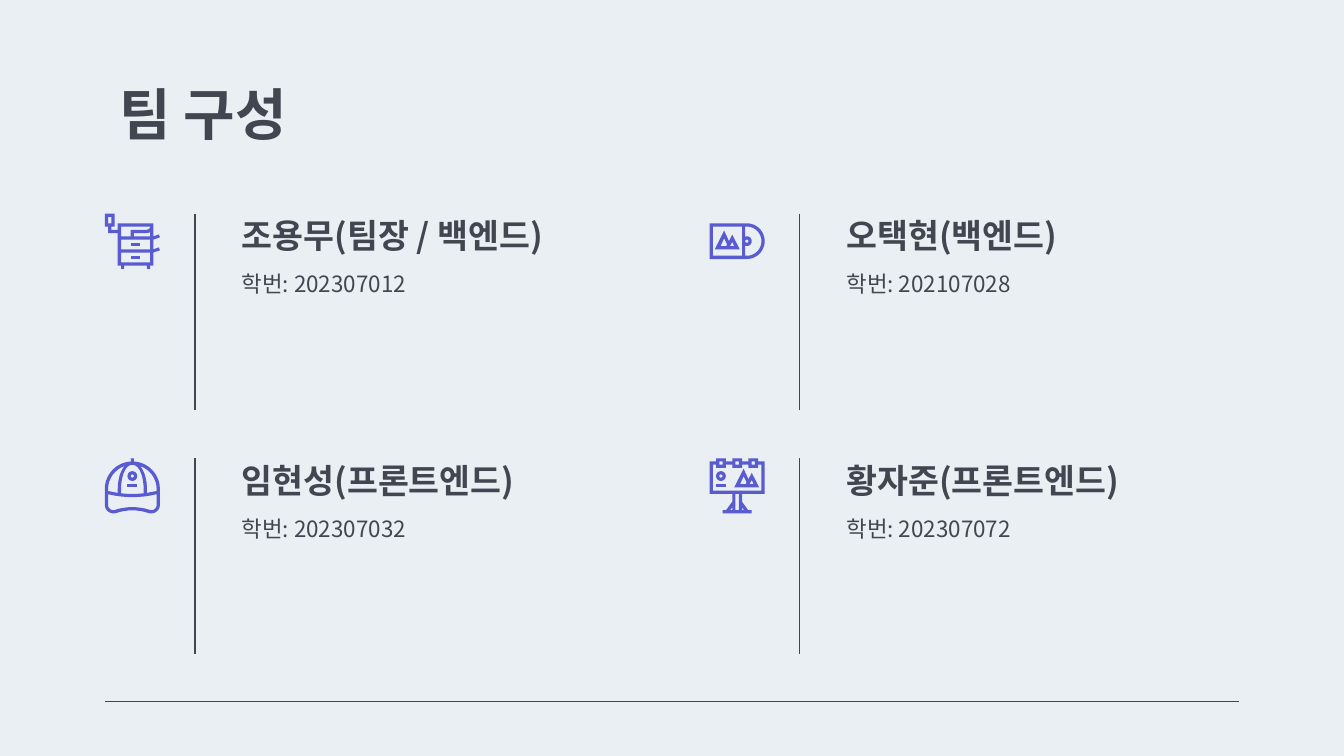
from dataclasses import dataclass
from math import cos, radians, sin

from lxml import etree
from pptx import Presentation
from pptx.dml.color import RGBColor
from pptx.enum.shapes import MSO_CONNECTOR
from pptx.enum.text import MSO_ANCHOR
from pptx.oxml.ns import qn
from pptx.util import Inches, Pt

STRAIGHT = MSO_CONNECTOR.STRAIGHT
TOP, BOTTOM = MSO_ANCHOR.TOP, MSO_ANCHOR.BOTTOM
FONT = "Noto Sans CJK KR"
COLORS = {"background": "EAEFF4", "ink": "424651", "icon": "595BD1"}
SLIDE_WIDTH = 10
SLIDE_HEIGHT = SLIDE_WIDTH * 9 / 16
ICON_SIZE, ICON_GRID = 0.41, 17  # icons are drawn on a 17 x 17 grid

Point = tuple[float, float]
Contour = list[Point]
Piece = list[Contour]  # first contour is the outline, the others cut holes


@dataclass
class Member:
    heading: str
    student_id: str
    icon: list[Piece]


# Contour helpers, in grid units
def rect(left: float, top: float, right: float, bottom: float) -> Contour:
    return [(left, top), (right, top), (right, bottom), (left, bottom)]


def arc(cx: float, cy: float, r: float, start: int, end: int) -> Contour:
    steps = 24
    angles = [radians(start + (end - start) * i / steps) for i in range(steps + 1)]
    return [(cx + r * cos(a), cy + r * sin(a)) for a in angles]


def curve(start: Point, *bends: tuple[float, ...]) -> Contour:
    """Sample a chain of cubic curves, each given by two controls and an end."""
    points = [start]
    for x1, y1, x2, y2, x3, y3 in bends:
        x0, y0 = points[-1]
        for i in range(1, 9):
            t = i / 8
            u = 1 - t
            a, b, c, d = u**3, 3 * u * u * t, 3 * u * t * t, t**3
            points.append((a * x0 + b * x1 + c * x2 + d * x3,
                           a * y0 + b * y1 + c * y2 + d * y3))
    return points


def mirror(contour: Contour) -> Contour:
    return [(ICON_GRID - x, y) for x, y in contour]


def ring(cx: float, cy: float) -> Piece:
    return [arc(cx, cy, 1.5, 0, 360), arc(cx, cy, 0.5, 0, 360)]


def mountains(dx: float, dy: float) -> Piece:
    peaks = [
        [(6, 8.5), (4.5, 5.2), (1.6, 11), (9.3, 11), (7, 6.5)],
        [(3.4, 10), (4.5, 7.6), (5.4, 9.4), (5.2, 10)],
        [(6.3, 10), (7, 8.7), (7.6, 10)],
    ]
    return [[(x + dx, y + dy) for x, y in contour] for contour in peaks]


# Icons
cabinet = [
    [rect(8, 13, 11, 14)],
    [rect(8, 9, 11, 10)],
    [
        [(1, 6), (4, 6), (4, 16), (5, 16), (5, 17), (6, 17), (6, 16), (13, 16),
         (13, 17), (14, 17), (14, 16), (15, 16), (15, 12), (17, 11.3),
         (16.7, 10.4), (15, 11), (15, 8), (17, 7.3), (16.7, 6.4), (15, 7),
         (15, 3), (4, 3), (4, 5), (2, 5), (2, 4), (3, 4), (3, 0), (0, 0),
         (0, 4), (1, 4)],
        rect(5, 8, 14, 11),
        rect(5, 12, 14, 15),
        rect(1, 1, 2, 3),
        [(9, 7), (9, 6), *curve((12.6, 6), (13.1, 6, 13.6, 5.9, 14, 5.7)), (14, 7)],
        [*curve((14, 4), (14, 4.6, 13.3, 5, 12.6, 5)), (8, 5), (8, 7), (5, 7), (5, 4)],
    ],
]
disc = [
    mountains(0, 0),
    [
        [(0, 3), *arc(11.5, 8.5, 5.5, -90, 90), (0, 14)],
        rect(1, 4, 10, 13),
        [(11, 4), *arc(11.5, 8.5, 4.5, -90, 90), (11, 13), (11, 9.9),
         *arc(11.5, 8.5, 1.5, 90, -90), (11, 7.1)],
        arc(11.5, 8.5, 0.5, 0, 360),
    ],
]
side_panel = [
    *curve((6.1, 2.4), (4.7, 4, 4, 6.7, 4, 9.5)),
    *curve((4, 10.7), (3, 10.5, 2, 10.3, 1, 10.1)),
    *curve((1, 9.5), (1, 6.2, 3.2, 3.4, 6.1, 2.4)),
]
cap = [
    [rect(7, 8, 10, 9)],
    ring(8.5, 5.5),
    [
        [(9, 0), (8, 0), *arc(8.5, 9.5, 8.5, 267, 180),
         *curve((0, 14.4), (0, 15.2, 0.4, 16, 1.1, 16.5),
                (1.8, 17, 2.7, 17.1, 3.5, 16.9), (6.8, 15.8, 10.2, 15.8, 13.5, 16.9),
                (14.3, 17.1, 15.2, 17, 15.9, 16.5), (16.6, 16, 17, 15.2, 17, 14.4)),
         *arc(8.5, 9.5, 8.5, 0, -87)],
        [*curve((12, 10.8), (10.9, 10.95, 9.7, 11, 8.5, 11), (7.3, 11, 6.1, 10.95, 5, 10.8)),
         *curve((5, 9.5), (5, 6.5, 6, 2, 8.5, 2), (11, 2, 12, 6.5, 12, 9.5))],
        side_panel,
        mirror(side_panel),
        [*curve((16, 14.4), (16, 14.9, 15.8, 15.4, 15.3, 15.7),
                (14.9, 16, 14.3, 16.1, 13.8, 15.9), (10.3, 14.8, 6.7, 14.8, 3.2, 15.9),
                (2.7, 16.1, 2.1, 16, 1.7, 15.7), (1.2, 15.4, 1, 14.9, 1, 14.4)),
         *curve((1, 11.1), (6, 12.3, 11, 12.3, 16, 11.1))],
    ],
]
strut = [(7, 15.1), (7, 16), (6.4, 16)]
billboard = [
    ring(3.5, 5.5),
    [rect(2, 8, 5, 9)],
    mountains(6, -2),
    [
        [(7, 13.4), (5.1, 16), (4, 16), (4, 17), (13, 17), (13, 16), (11.9, 16),
         (10, 13.4), (10, 11), (17, 11), (17, 1), (15, 1), (15, 0), (12, 0),
         (12, 1), (10, 1), (10, 0), (7, 0), (7, 1), (5, 1), (5, 0), (2, 0),
         (2, 1), (0, 1), (0, 11), (7, 11)],
        strut,
        mirror(strut),
        rect(8, 11, 9, 16),
        *[rect(x, 1, x + 1, 2) for x in (3, 8, 13)],
        [(1, 2), (2, 2), (2, 3), (5, 3), (5, 2), (7, 2), (7, 3), (10, 3), (10, 2),
         (12, 2), (12, 3), (15, 3), (15, 2), (16, 2), (16, 10), (1, 10)],
    ],
]

MEMBERS = [
    Member("조용무(팀장 / 백엔드)", "202307012", cabinet),
    Member("오택현(백엔드)", "202107028", disc),
    Member("임현성(프론트엔드)", "202307032", cap),
    Member("황자준(프론트엔드)", "202307072", billboard),
]


def color(name: str) -> RGBColor:
    return RGBColor.from_string(COLORS[name])


def draw_line(shapes, x1: float, y1: float, x2: float, y2: float) -> None:
    line = shapes.add_connector(STRAIGHT, Inches(x1), Inches(y1), Inches(x2), Inches(y2))
    line.line.color.rgb = color("ink")
    line.line.width = Pt(0.75)
    etree.SubElement(line._element.spPr, qn("a:effectLst"))


def draw_text(shapes, text: str, left: float, top: float, width: float, height: float,
              size: int, bold: bool = False, anchor=TOP) -> None:
    frame = shapes.add_textbox(Inches(left), Inches(top), Inches(width),
                               Inches(height)).text_frame
    frame.word_wrap = True
    frame.vertical_anchor = anchor
    frame.margin_left = frame.margin_right = Inches(0.1)
    frame.margin_top = frame.margin_bottom = Inches(0.1)
    frame.text = text
    font = frame.paragraphs[0].runs[0].font
    font.name, font.size, font.bold = FONT, Pt(size), bold
    font.color.rgb = color("ink")
    etree.SubElement(font._element, qn("a:ea")).set("typeface", FONT)


def draw_icon(shapes, icon: list[Piece], left: float, top: float) -> None:
    unit = ICON_SIZE / ICON_GRID
    for piece in icon:
        contours = [[(Inches(left + x * unit), Inches(top + y * unit)) for x, y in contour]
                    for contour in piece]
        builder = shapes.build_freeform(*contours[0][0])
        builder.add_line_segments(contours[0][1:], close=True)
        for hole in contours[1:]:
            builder.move_to(*hole[0])
            builder.add_line_segments(hole[1:], close=True)
        shape = builder.convert_to_shape()
        shape.shadow.inherit = False
        shape.fill.solid()
        shape.fill.fore_color.rgb = color("icon")
        shape.line.fill.background()


def draw_member(shapes, member: Member, left: float, top: float) -> None:
    draw_icon(shapes, member.icon, left, top)
    draw_line(shapes, left + 0.67, top, left + 0.67, top + 1.46)
    draw_text(shapes, member.heading, left + 0.92, top, 2.99, 0.41, 18, True, BOTTOM)
    draw_text(shapes, f"학번: {member.student_id}", left + 0.92, top + 0.32, 2.99, 1.14, 12)


def main() -> None:
    deck = Presentation()
    deck.slide_width, deck.slide_height = Inches(SLIDE_WIDTH), Inches(SLIDE_HEIGHT)
    slide = deck.slides.add_slide(deck.slide_layouts[6])
    slide.background.fill.solid()
    slide.background.fill.fore_color.rgb = color("background")

    # Title and footer rule
    draw_line(slide.shapes, 0.78, 5.22, 9.22, 5.22)
    draw_text(slide.shapes, "팀 구성", 0.79, 0.49, 8.43, 0.63, 30, True)

    # Two by two grid of members
    for index, member in enumerate(MEMBERS):
        row, column = divmod(index, 2)
        draw_member(slide.shapes, member, 0.78 + 4.5 * column, 1.59 + 1.82 * row)

    deck.save("out.pptx")


if __name__ == "__main__":
    main()
